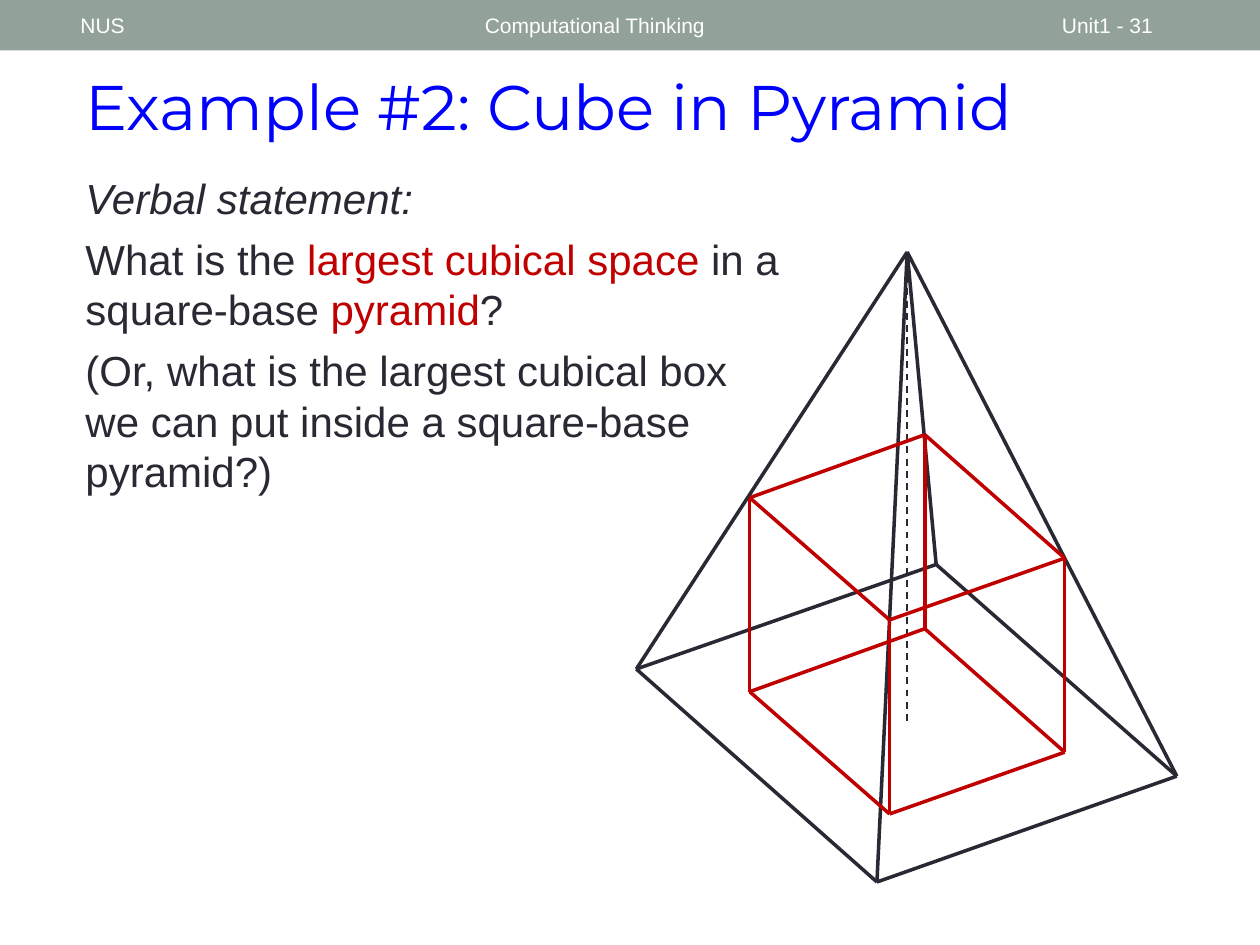
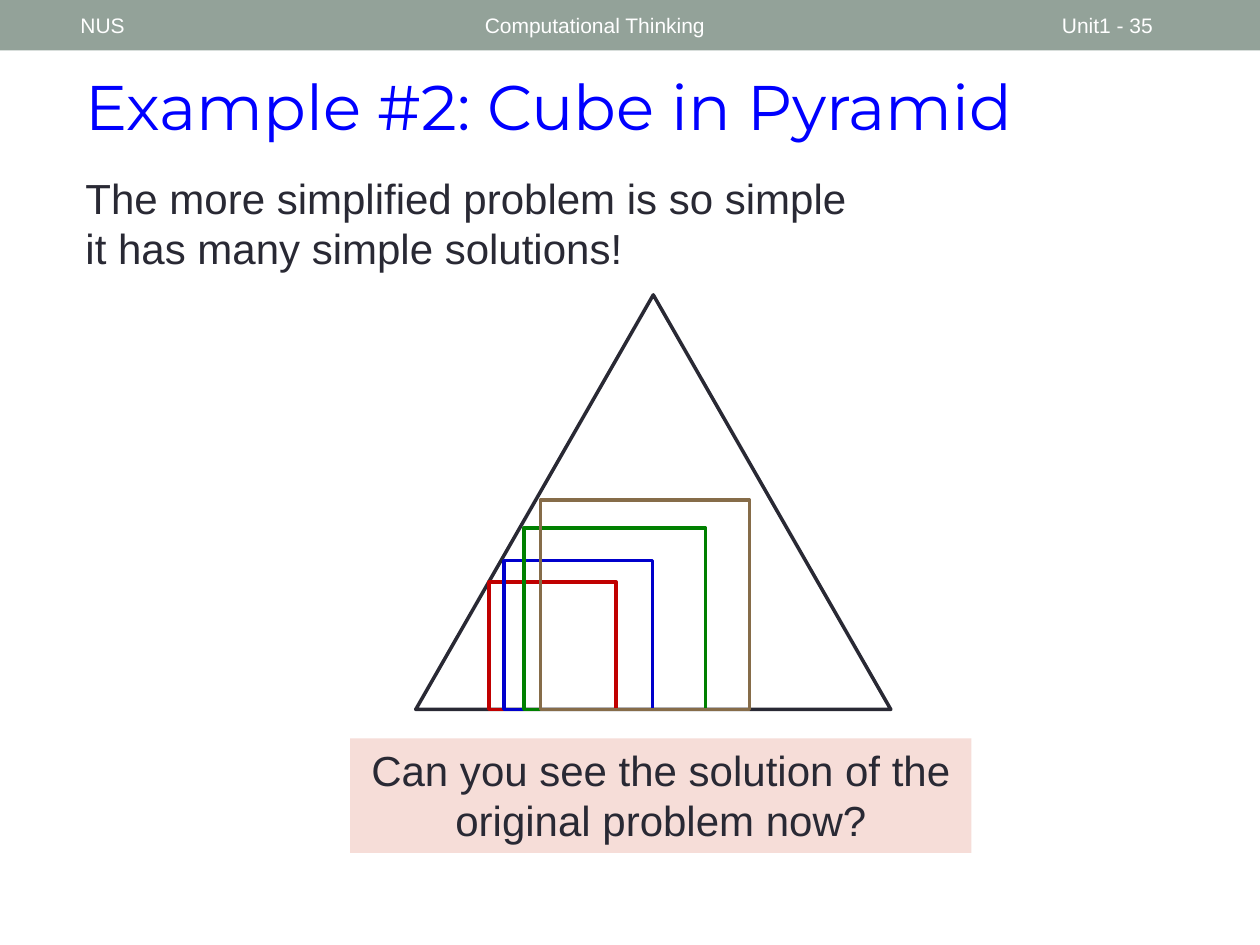
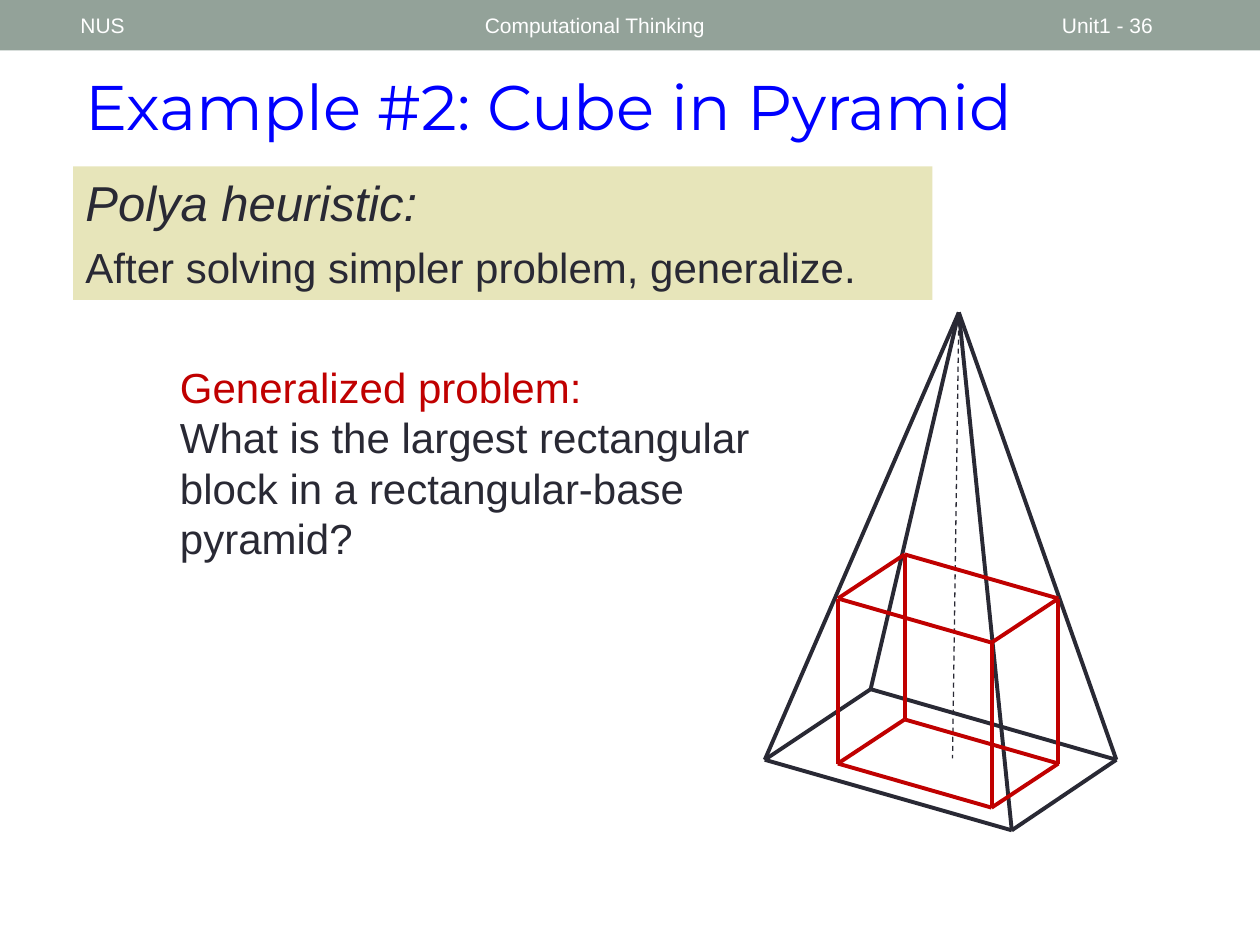
from dataclasses import dataclass

from lxml import etree
from pptx import Presentation
from pptx.dml.color import RGBColor
from pptx.enum.dml import MSO_LINE
from pptx.enum.shapes import MSO_CONNECTOR, MSO_SHAPE
from pptx.enum.text import MSO_ANCHOR, MSO_AUTO_SIZE, PP_ALIGN
from pptx.oxml.ns import qn
from pptx.util import Pt

EMU_PER_PX = 9144  # 100 px to the inch

RECTANGLE = MSO_SHAPE.RECTANGLE
TRIANGLE = MSO_SHAPE.ISOSCELES_TRIANGLE
STRAIGHT = MSO_CONNECTOR.STRAIGHT
DASH = MSO_LINE.DASH
TOP, MIDDLE = MSO_ANCHOR.TOP, MSO_ANCHOR.MIDDLE
LEFT, CENTER = PP_ALIGN.LEFT, PP_ALIGN.CENTER
GROW, FIXED = MSO_AUTO_SIZE.SHAPE_TO_FIT_TEXT, MSO_AUTO_SIZE.NONE

WHITE = RGBColor(0xFF, 0xFF, 0xFF)
SAGE = RGBColor(0x93, 0xA2, 0x99)
INK = RGBColor(0x29, 0x29, 0x34)
TITLE_BLUE = RGBColor(0x00, 0x00, 0xFF)
RED = RGBColor(0xC0, 0x00, 0x00)
BLUE = RGBColor(0x00, 0x00, 0xCC)
GREEN = RGBColor(0x00, 0x80, 0x00)
BROWN = RGBColor(0x86, 0x6C, 0x49)
PINK = RGBColor(0xF6, 0xDD, 0xD8)
KHAKI = RGBColor(0xE7, 0xE5, 0xBA)

BODY_FONT = "Arial"
TITLE_FONT = "Montserrat"
TITLE = "Example #2: Cube in Pyramid"


@dataclass
class Run:
    text: str
    color: RGBColor = INK
    size: int = 24
    italic: bool = False
    font: str = BODY_FONT


def px(length):
    return length * EMU_PER_PX


class Deck:
    def __init__(self, width, height):
        self.presentation = Presentation()
        self.presentation.slide_width = px(width)
        self.presentation.slide_height = px(height)
        self.width = width
        self.slide = None

    def new_slide(self, number):
        """Start a slide with the header band and the title."""
        blank = self.presentation.slide_layouts[6]
        self.slide = self.presentation.slides.add_slide(blank)
        self.shape(RECTANGLE, 0, 0, self.width, 40, fill=SAGE)
        headers = ((375, 450, "Computational Thinking"),
                   (833, 117, f"Unit1 - {number}"),
                   (54, 313, "NUS"))
        for left, width, label in headers:
            self.text(left, 2, width, 36, [[Run(label, WHITE, 12)]],
                      space_after=0, anchor=MIDDLE, auto_size=FIXED)
        self.text(58, 49, 849, 71,
                  [[Run(TITLE, TITLE_BLUE, 36, font=TITLE_FONT)]])

    def shape(self, kind, left, top, width, height,
              fill=None, line=None, weight=2):
        shape = self.slide.shapes.add_shape(
            kind, px(left), px(top), px(width), px(height))
        shape.shadow.inherit = False
        if fill is None:
            shape.fill.background()
        else:
            shape.fill.solid()
            shape.fill.fore_color.rgb = fill
        if line is None:
            shape.line.fill.background()
        else:
            shape.line.color.rgb = line
            shape.line.width = Pt(weight)
        return shape

    def text(self, left, top, width, height, paragraphs, fill=None,
             align=LEFT, space_after=6, anchor=TOP, auto_size=GROW):
        """Add paragraphs, each a list of runs, on a panel if fill is given."""
        if fill is None:
            box = self.slide.shapes.add_textbox(
                px(left), px(top), px(width), px(height))
        else:
            box = self.shape(RECTANGLE, left, top, width, height, fill)
        frame = box.text_frame
        frame.word_wrap = True
        frame.auto_size = auto_size
        frame.vertical_anchor = anchor
        for index, runs in enumerate(paragraphs):
            paragraph = frame.add_paragraph() if index else frame.paragraphs[0]
            paragraph.alignment = align
            paragraph.space_after = Pt(space_after)
            for item in runs:
                run = paragraph.add_run()
                run.text = item.text
                run.font.name = item.font
                run.font.size = Pt(item.size)
                run.font.italic = item.italic
                run.font.color.rgb = item.color

    def line(self, group, start, end, color, weight, dash=None):
        connector = group.shapes.add_connector(
            STRAIGHT, *(px(value) for value in (*start, *end)))
        connector.line.color.rgb = color
        connector.line.width = Pt(weight)
        if dash is not None:
            connector.line.dash_style = dash
        properties = connector._element.spPr
        etree.SubElement(properties, qn("a:effectLst"))

    def ring(self, group, corners, color, weight):
        for start, end in zip(corners, corners[1:] + corners[:1]):
            self.line(group, start, end, color, weight)

    def pyramid(self, apex, foot, base, box_top, box_height,
                weight, axis_weight):
        """Draw a pyramid with its dashed axis and the box inside it."""
        group = self.slide.shapes.add_group_shape()
        self.ring(group, base, INK, weight)
        for corner in base:
            self.line(group, apex, corner, INK, weight)
        self.line(group, apex, foot, INK, axis_weight, DASH)
        box_bottom = [(x, y + box_height) for x, y in box_top]
        self.ring(group, box_top, RED, weight)
        self.ring(group, box_bottom, RED, weight)
        for upper, lower in zip(box_top, box_bottom):
            self.line(group, upper, lower, RED, weight)


def statement_slide(deck):
    deck.new_slide(31)
    deck.text(58, 132, 571, 269, [
        [Run("Verbal statement:", italic=True)],
        [Run("What is the "), Run("largest cubical space ", RED),
         Run("in a square-base "), Run("pyramid", RED), Run("?")],
        [Run("(Or, what is the largest cubical box we can put inside "
             "a square-base pyramid?)")],
    ])
    deck.pyramid(
        apex=(720, 200), foot=(720, 572),
        base=[(505, 531), (696, 700), (934, 616), (743, 448)],
        box_top=[(595, 395), (706, 492), (845, 443), (734, 345)],
        box_height=154, weight=2, axis_weight=1)


def simplified_slide(deck):
    deck.new_slide(35)
    deck.text(58, 132, 625, 91, [
        [Run("The more simplified problem is so simple "
             "it has many simple solutions!")],
    ])
    triangle_top, triangle_height = 234, 329
    ground = triangle_top + triangle_height
    deck.shape(TRIANGLE, 330, triangle_top, 377, triangle_height, line=INK)
    squares = ((388, 101, RED), (400, 118, BLUE),
               (416, 144, GREEN), (429, 166, BROWN))
    for left, side, color in squares:
        deck.shape(RECTANGLE, left, ground - side, side, side, line=color)
    deck.text(278, 586, 493, 91, [
        [Run("Can you see the solution of the original problem now?")],
    ], fill=PINK, align=CENTER)


def generalized_slide(deck):
    deck.new_slide(36)
    deck.text(58, 132, 682, 106, [
        [Run("Polya heuristic:", size=28, italic=True)],
        [Run("After solving simpler problem, generalize.")],
    ], fill=KHAKI)
    deck.text(133, 282, 518, 172, [
        [Run("Generalized problem:", RED)],
        [Run("What is the largest rectangular block "
             "in a rectangular-base pyramid?")],
    ], space_after=0)
    deck.pyramid(
        apex=(761, 248), foot=(756, 602),
        base=[(607, 603), (803, 659), (886, 603), (691, 547)],
        box_top=[(665, 475), (787, 510), (840, 475), (718, 440)],
        box_height=131, weight=2.25, axis_weight=0.75)


def main():
    deck = Deck(1000, 750)
    statement_slide(deck)
    simplified_slide(deck)
    generalized_slide(deck)
    deck.presentation.save("out.pptx")


if __name__ == "__main__":
    main()
